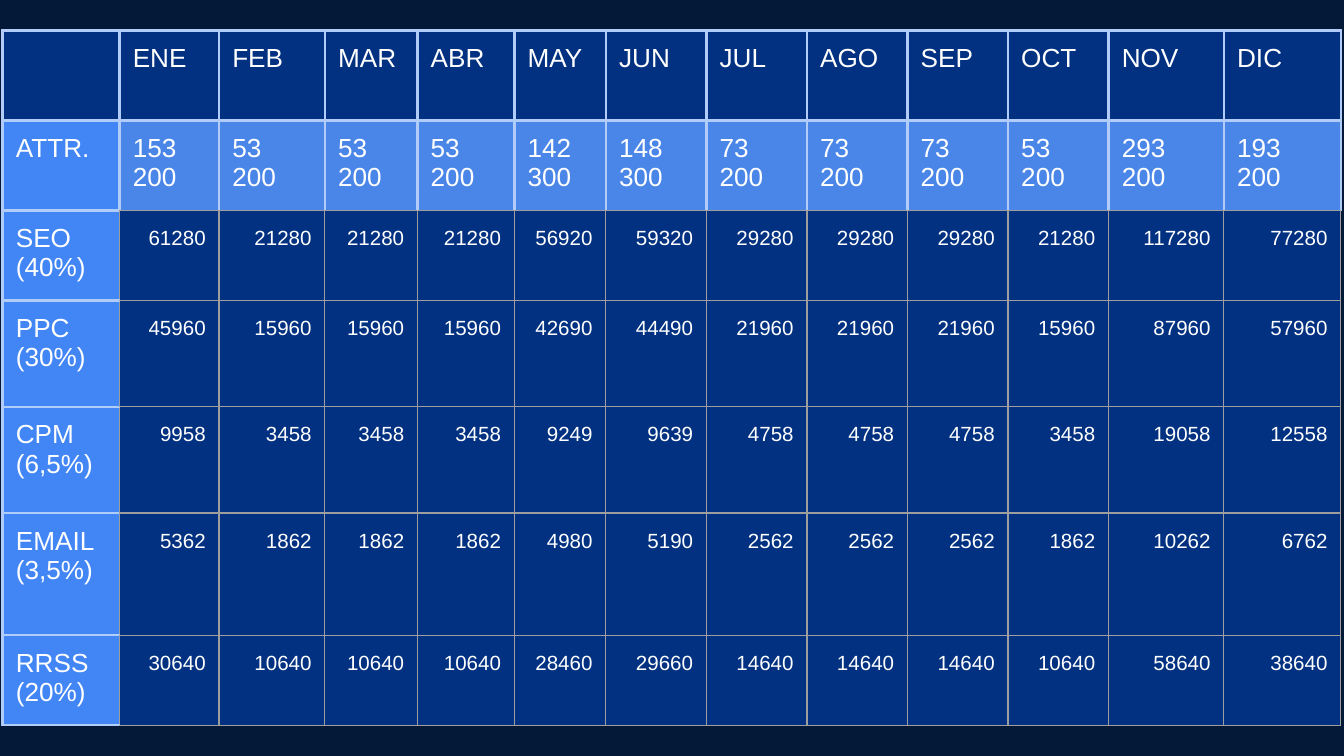
from lxml import etree
from pptx import Presentation
from pptx.dml.color import RGBColor
from pptx.enum.text import PP_ALIGN
from pptx.oxml.ns import qn
from pptx.util import Cm, Pt

LEFT, RIGHT = PP_ALIGN.LEFT, PP_ALIGN.RIGHT
NIGHT = RGBColor(0x04, 0x19, 0x38)
NAVY = RGBColor(0x01, 0x31, 0x80)
BLUE = RGBColor(0x42, 0x86, 0xF5)
SOFT_BLUE = RGBColor(0x4A, 0x86, 0xE8)
PALE = RGBColor(0xB1, 0xCC, 0xF9)
GREY = RGBColor(0x9E, 0x9E, 0x9E)
WHITE = RGBColor(0xFF, 0xFF, 0xFF)

MONTHS = ["ENE", "FEB", "MAR", "ABR", "MAY", "JUN",
          "JUL", "AGO", "SEP", "OCT", "NOV", "DIC"]
BUDGETS = [153200, 53200, 53200, 53200, 142300, 148300,
           73200, 73200, 73200, 53200, 293200, 193200]
CHANNELS = [("SEO\n(40%)", 400), ("PPC\n(30%)", 300), ("CPM\n(6,5%)", 65),
            ("EMAIL\n(3,5%)", 35), ("RRSS\n(20%)", 200)]
COL_WIDTHS = [2.21, 1.88, 2, 1.75, 1.83, 1.73] + [1.9] * 5 + [2.18, 2.21]
ROW_HEIGHTS = [1.7, 1.7, 1.7, 2.01, 2.01, 2.31, 1.7]


class Deck:
    font = "Arial"
    margin = Cm(0.25)

    def __init__(self, width, height):
        self.prs = Presentation()
        self.prs.slide_width, self.prs.slide_height = Cm(width), Cm(height)

    def slide(self, color):
        self.s = self.prs.slides.add_slide(self.prs.slide_layouts[6])
        fill = self.s.background.fill
        fill.solid()
        fill.fore_color.rgb = color

    def table(self, left, top, widths, heights):
        frame = self.s.shapes.add_table(len(heights), len(widths), Cm(left), Cm(top),
                                        Cm(sum(widths)), Cm(sum(heights)))
        table = frame.table
        table.first_row = table.horz_banding = False
        for col, width in zip(table.columns, widths):
            col.width = Cm(width)
        for row, height in zip(table.rows, heights):
            row.height = Cm(height)
        return table

    def cell(self, cell, text, fill, pale_sides="", size=14, align=LEFT, spacing=None):
        cell.margin_left = cell.margin_right = self.margin
        cell.margin_top = cell.margin_bottom = self.margin
        self.borders(cell, pale_sides)
        cell.fill.solid()
        cell.fill.fore_color.rgb = fill
        cell.text_frame.text = text
        for p in cell.text_frame.paragraphs:
            p.alignment = align
            p.line_spacing = spacing
            for r in p.runs:
                r.font.name = self.font
                r.font.size = Pt(size)
                r.font.color.rgb = WHITE

    def borders(self, cell, pale_sides):
        tc_pr = cell._tc.get_or_add_tcPr()
        for side in "LRTB":
            color, width = (PALE, 1.5) if side in pale_sides else (GREY, 0.75)
            ln = etree.SubElement(tc_pr, qn(f"a:ln{side}"), w=str(Pt(width)))
            solid = etree.SubElement(ln, qn("a:solidFill"))
            etree.SubElement(solid, qn("a:srgbClr"), val=str(color))

    def save(self):
        self.prs.save("out.pptx")


def main():
    deck = Deck(25.4, 14.29)
    deck.slide(NIGHT)
    table = deck.table(0.05, 0.58, COL_WIDTHS, ROW_HEIGHTS)

    for col, month in enumerate([""] + MONTHS):
        deck.cell(table.cell(0, col), month, NAVY, "LRTB")

    deck.cell(table.cell(1, 0), "ATTR.", BLUE, "LRTB")
    for col, budget in enumerate(BUDGETS, 1):
        text = f"{budget:,}".replace(",", " ")
        deck.cell(table.cell(1, col), text, SOFT_BLUE, "LRT")

    for row, (label, per_mille) in enumerate(CHANNELS, 2):
        deck.cell(table.cell(row, 0), label, BLUE, "LTB")
        for col, budget in enumerate(BUDGETS, 1):
            deck.cell(table.cell(row, col), str(budget * per_mille // 1000), NAVY,
                      size=11, align=RIGHT, spacing=1.15)
    deck.save()


if __name__ == "__main__":
    main()
